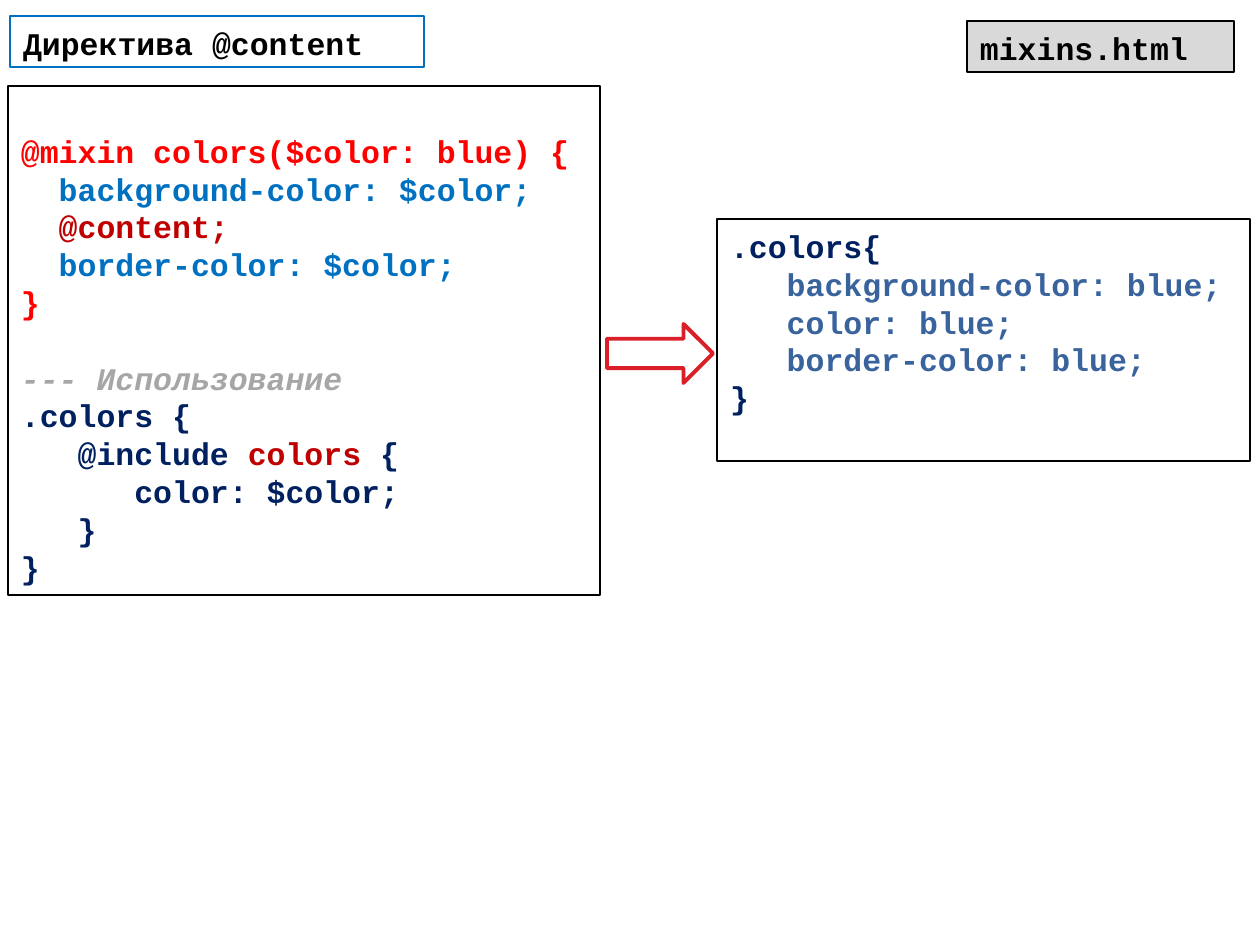
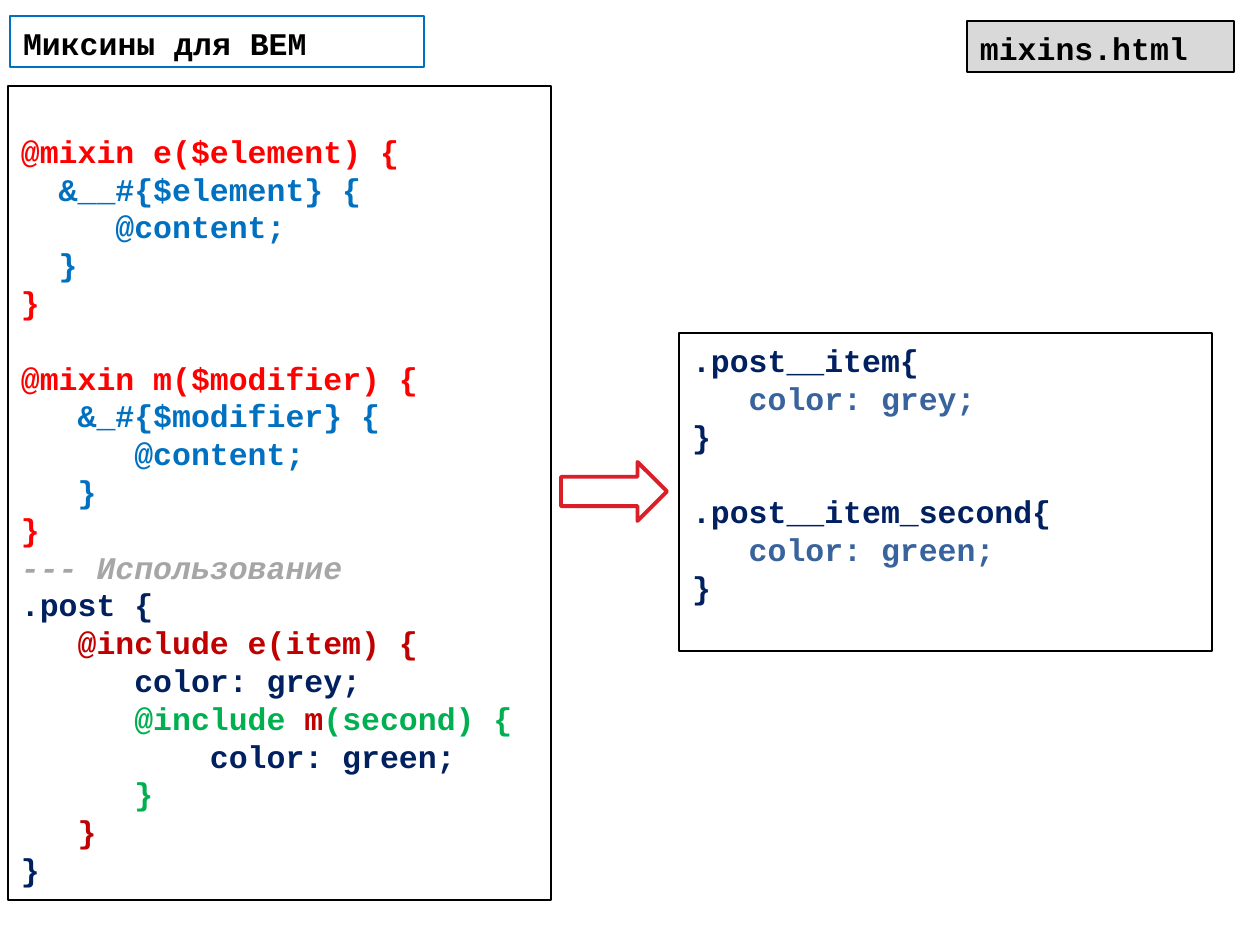
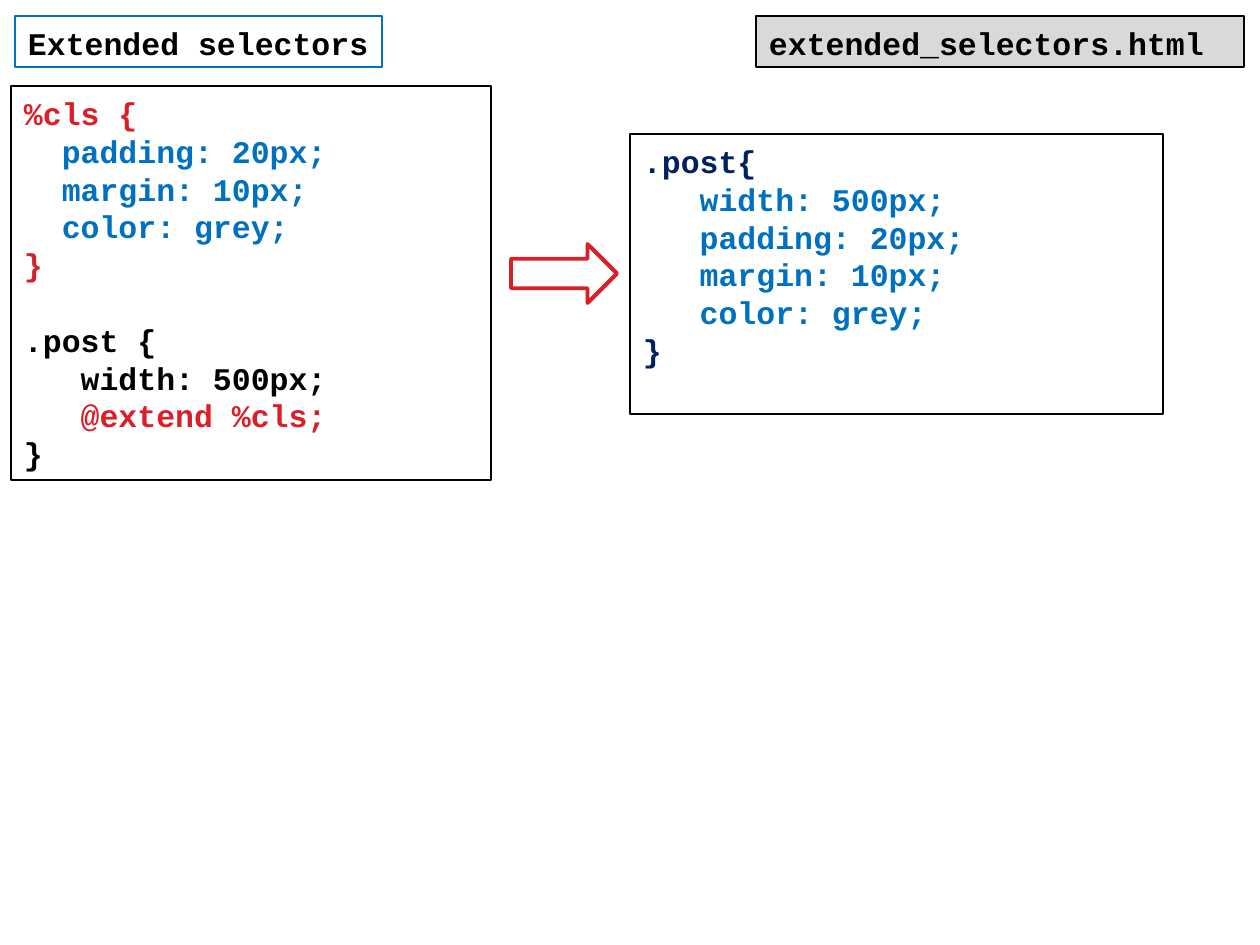
from pptx import Presentation
from pptx.dml.color import RGBColor
from pptx.enum.shapes import MSO_SHAPE as SHAPE
from pptx.enum.text import MSO_ANCHOR as ANCHOR, MSO_AUTO_SIZE as AUTO, PP_ALIGN as ALIGN
from pptx.util import Pt

COLORS = {
    "black": "000000", "red": "FF0000", "blue": "0070C0", "dark_red": "C00000",
    "gray": "A6A6A6", "navy": "002060", "steel": "39639D", "green": "00B050",
    "crimson": "DA1F28", "silver": "D9D9D9",
}
FONT = "Courier New"
FONT_SIZE = 18
CHAR_WIDTH = Pt(FONT_SIZE * 0.6)
LINE_HEIGHT = Pt(21.6)
EMU_PER_PX = 914400 / 126
INSET_X, INSET_TOP, INSET_BOTTOM = 13, 8, 6
ARROW_SIZE = (106, 59)

BLANK = None
USAGE = (0, ("--- Использование", "gray"))

# A code line is its indent in characters, then its (text, colour) runs.
SLIDES = [
    {
        "title": ("Директива @content", (10, 16, 414, 51)),
        "file": ("mixins.html", (967, 21, 267, 51)),
        "source": ((8, 86, 592, 509), [
            BLANK,
            (0, ("@mixin colors($color: blue) {", "red")),
            (2, ("background-color: $color;", "blue")),
            (2, ("@content;", "dark_red")),
            (2, ("border-color: $color;", "blue")),
            (0, ("}", "red")),
            BLANK,
            USAGE,
            (0, (".colors {", "navy")),
            (3, ("@include ", "navy"), ("colors", "dark_red"), (" {", "navy")),
            (6, ("color: $color;", "navy")),
            (3, ("}", "navy")),
            (0, ("}", "navy")),
        ]),
        "result": ((717, 219, 533, 242), [
            (0, (".colors{", "navy")),
            (3, ("background-color: blue;", "steel")),
            (3, ("color: blue;", "steel")),
            (3, ("border-color: blue;", "steel")),
            (0, ("}", "navy")),
        ]),
        "arrow": (607, 324),
    },
    {
        "title": ("Миксины для BEM", (10, 16, 414, 51)),
        "file": ("mixins.html", (967, 21, 267, 51)),
        "source": ((8, 86, 543, 814), [
            BLANK,
            (0, ("@mixin e($element) {", "red")),
            (2, ("&__#{$element} {", "blue")),
            (5, ("@content;", "blue")),
            (2, ("}", "blue")),
            (0, ("}", "red")),
            BLANK,
            (0, ("@mixin m($modifier) {", "red")),
            (3, ("&_#{$modifier} {", "blue")),
            (6, ("@content;", "blue")),
            (3, ("}", "blue")),
            (0, ("}", "red")),
            USAGE,
            (0, (".post {", "navy")),
            (3, ("@include e(item) {", "dark_red")),
            (6, ("color: grey;", "navy")),
            (6, ("@include ", "green"), ("m", "dark_red"), ("(second) {", "green")),
            (10, ("color: green;", "navy")),
            (6, ("}", "green")),
            (3, ("}", "dark_red")),
            (0, ("}", "navy")),
        ]),
        "result": ((679, 333, 533, 318), [
            (0, (".post__item{", "navy")),
            (3, ("color: grey;", "steel")),
            (0, ("}", "navy")),
            BLANK,
            (0, (".post__item_second{", "navy")),
            (3, ("color: green;", "steel")),
            (0, ("}", "navy")),
        ]),
        "arrow": (561, 462),
    },
    {
        "title": ("Extended selectors", (15, 16, 367, 51)),
        "file": ("extended_selectors.html", (756, 16, 488, 51)),
        "source": ((11, 86, 480, 394), [
            (0, ("%cls {", "crimson")),
            (2, ("padding: 20px;", "blue")),
            (2, ("margin: 10px;", "blue")),
            (2, ("color: grey;", "blue")),
            (0, ("}", "crimson")),
            BLANK,
            (0, (".post {", "black")),
            (3, ("width: 500px;", "black")),
            (3, ("@extend %cls;", "crimson")),
            (0, ("}", "black")),
        ]),
        "result": ((630, 134, 533, 280), [
            (0, (".post{", "navy")),
            (3, ("width: 500px;", "blue")),
            (3, ("padding: 20px;", "blue")),
            (3, ("margin: 10px;", "blue")),
            (3, ("color: grey;", "blue")),
            (0, ("}", "navy")),
        ]),
        "arrow": (511, 244),
    },
]


def px(n):
    return round(n * EMU_PER_PX)


def rgb(name):
    return RGBColor.from_string(COLORS[name])


def place(sp, box):
    sp.left, sp.top, sp.width, sp.height = map(px, box)


def paint(sp, line, width=1.5, fill=None):
    if fill:
        sp.fill.solid()
        sp.fill.fore_color.rgb = rgb(fill)
    else:
        sp.fill.background()
    sp.line.color.rgb = rgb(line)
    sp.line.width = Pt(width)


def add_outline(s, kind, box, line, width=1.5, fill=None):
    sp = s.shapes.add_shape(kind, *map(px, box))
    sp.shadow.inherit = False
    paint(sp, line, width, fill)
    return sp


def write_code(sp, lines):
    """Write code lines; a blank first line becomes inset, later ones spacing."""
    tf = sp.text_frame
    tf.word_wrap = True
    tf.auto_size = AUTO.NONE
    tf.vertical_anchor = ANCHOR.TOP
    tf.margin_left = tf.margin_right = px(INSET_X)
    tf.margin_top, tf.margin_bottom = px(INSET_TOP), px(INSET_BOTTOM)
    p, gap = None, 0
    for line in lines:
        if line is BLANK:
            gap = LINE_HEIGHT
            continue
        if p is None:
            p = tf.paragraphs[0]
            tf.margin_top += gap
            gap = 0
        else:
            p = tf.add_paragraph()
        indent, *runs = line
        p.alignment = ALIGN.LEFT
        p.line_spacing = LINE_HEIGHT
        p.space_before = Pt(gap / Pt(1))
        p.space_after = Pt(0)
        pPr = p._p.get_or_add_pPr()
        pPr.set("marL", str(indent * CHAR_WIDTH))
        pPr.set("indent", "0")
        for text, color in runs:
            r = p.add_run()
            r.text = text
            r.font.name = FONT
            r.font.size = Pt(FONT_SIZE)
            r.font.bold = True
            r.font.italic = line is USAGE
            r.font.color.rgb = rgb(color)
        gap = 0


def add_slide(prs, content):
    s = prs.slides.add_slide(prs.slide_layouts[5])

    text, box = content["title"]
    title = s.shapes.title
    place(title, box)
    paint(title, "blue")
    write_code(title, [(0, (text, "black"))])

    text, box = content["file"]
    label = add_outline(s, SHAPE.RECTANGLE, box, "black", fill="silver")
    write_code(label, [(0, (text, "black"))])

    for part in ("source", "result"):
        box, lines = content[part]
        write_code(add_outline(s, SHAPE.RECTANGLE, box, "black"), lines)

    add_outline(s, SHAPE.RIGHT_ARROW, content["arrow"] + ARROW_SIZE, "crimson", 2.25)


def main():
    prs = Presentation()
    prs.slide_width, prs.slide_height = px(1260), px(945)
    for content in SLIDES:
        add_slide(prs, content)
    prs.save("out.pptx")


if __name__ == "__main__":
    main()
